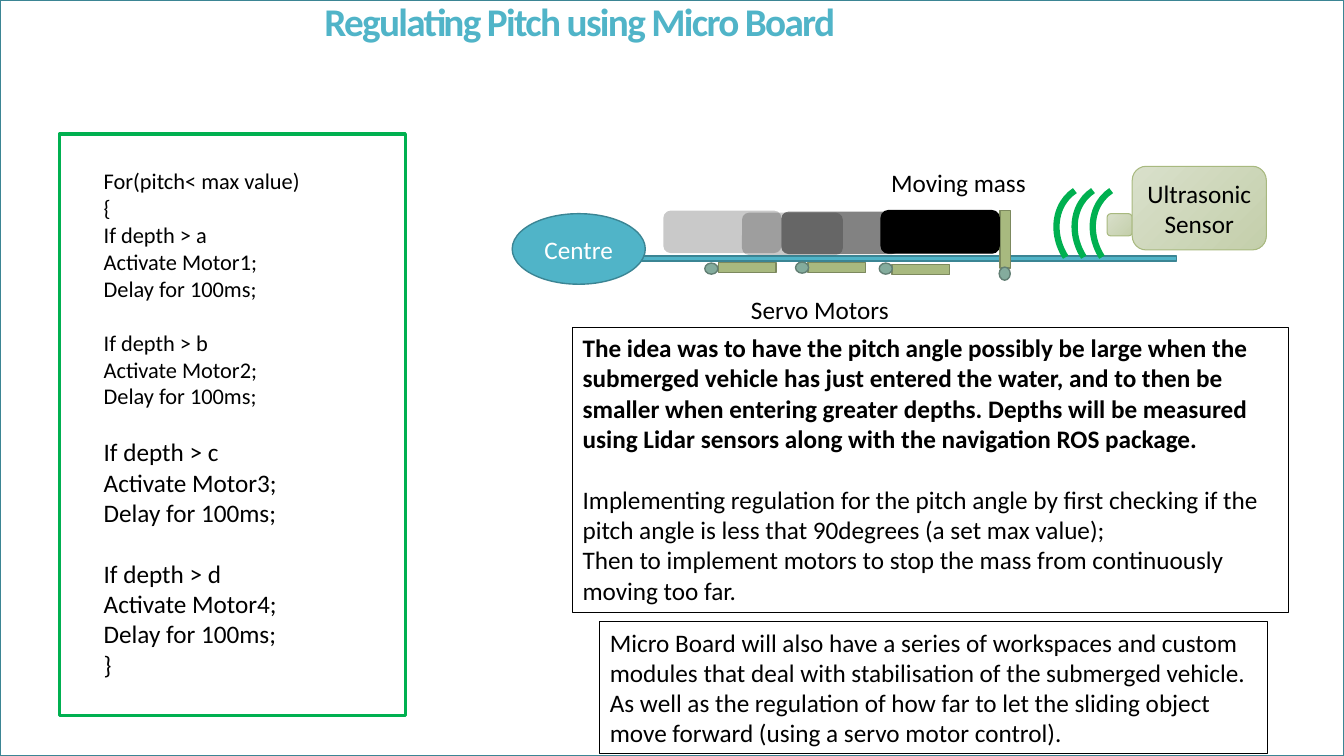
from dataclasses import dataclass

from lxml.etree import SubElement
from pptx import Presentation
from pptx.dml.color import RGBColor
from pptx.enum.shapes import MSO_SHAPE
from pptx.enum.text import MSO_ANCHOR, PP_ALIGN
from pptx.oxml.ns import qn
from pptx.shapes.autoshape import Shape
from pptx.util import Inches, Pt

TEAL, DARK_TEAL = "50B4C8", "3B8594"
OLIVE, DARK_OLIVE = "A8B97F", "7C895E"
SAGE, DARK_SAGE = "84AC9D", "627F74"
GREEN, BLACK, WHITE = "00B050", "000000", "FFFFFF"
SENSOR_GRADIENT = ("D9E0CB", "C4CFAB")


@dataclass(frozen=True)
class Part:
    left: float
    top: float
    width: float
    height: float
    kind: MSO_SHAPE = MSO_SHAPE.RECTANGLE
    fill: str | tuple[str, str] | None = None
    opacity: int = 100
    line: str | None = None
    line_width: float = 1
    rotation: float = 0


@dataclass(frozen=True)
class Line:
    text: str
    size: float = 18
    bold: bool = False
    gap: float = 0


def rgb(value: str) -> RGBColor:
    return RGBColor.from_string(value)


def draw_part(part: Part) -> Shape:
    box = (Inches(value) for value in (part.left, part.top, part.width, part.height))
    shape = slide.shapes.add_shape(part.kind, *box)
    shape.shadow.inherit = False
    shape.rotation = part.rotation
    if part.fill is None:
        shape.fill.background()
    elif isinstance(part.fill, tuple):
        shape.fill.gradient()
        shape.fill.gradient_angle = 315
        for stop, color in zip(shape.fill.gradient_stops, part.fill):
            stop.color.rgb = rgb(color)
    else:
        shape.fill.solid()
        shape.fill.fore_color.rgb = rgb(part.fill)
        if part.opacity < 100:
            color = shape.fill._xPr.find(qn("a:solidFill"))[0]
            SubElement(color, qn("a:alpha")).set("val", str(part.opacity * 1000))
    if part.line is None:
        shape.line.fill.background()
    else:
        shape.line.color.rgb = rgb(part.line)
        shape.line.width = Pt(part.line_width)
    return shape


def write(shape: Shape, lines: list[Line], color: str = BLACK, centred: bool = False) -> None:
    frame = shape.text_frame
    frame.word_wrap = True
    frame.vertical_anchor = MSO_ANCHOR.MIDDLE if centred else MSO_ANCHOR.TOP
    frame.text = "\n".join(line.text for line in lines)
    for paragraph, line in zip(frame.paragraphs, lines):
        paragraph.alignment = PP_ALIGN.CENTER if centred else PP_ALIGN.LEFT
        paragraph.space_before = Pt(line.gap)
        font = paragraph.runs[0].font
        font.name, font.size, font.bold = "Calibri", Pt(line.size), line.bold
        font.color.rgb = rgb(color)


def add_text(left: float, top: float, width: float, height: float, lines: list[Line],
             color: str = BLACK, centred: bool = False) -> Shape:
    text_box = slide.shapes.add_textbox(Inches(left), Inches(top), Inches(width), Inches(height))
    write(text_box, lines, color, centred)
    return text_box


def motor_code(number: int, depth: str, size: float, gap: float) -> list[Line]:
    return [
        Line(f"If depth > {depth}", size, gap=gap),
        Line(f"Activate Motor{number};", size),
        Line("Delay for 100ms;", size),
    ]


presentation = Presentation()
presentation.slide_width, presentation.slide_height = Inches(13.33), Inches(7.5)
slide = presentation.slides.add_slide(presentation.slide_layouts[6])

draw_part(Part(0.59, 1.33, 3.43, 5.77, fill=WHITE, line=GREEN, line_width=2.5))
workspace_note = draw_part(Part(5.95, 6.17, 6.62, 1.31, line=BLACK, line_width=0.75))
write(workspace_note, [Line(
    "Micro Board will also have a series of workspaces and custom modules that deal with "
    "stabilisation of the submerged vehicle. As well as the regulation of how far to let the "
    "sliding object move forward (using a servo motor control)."
)])

draw_part(Part(5.9, 2.54, 5.77, 0.05, fill=TEAL, line=DARK_TEAL))
for left, top, rotation in ((7.36, 2.37, 90), (8.25, 2.37, 90), (9.08, 2.39, 90), (9.92, 2.09, 0)):
    draw_part(Part(left, top, 0.1, 0.57, fill=OLIVE, line=DARK_OLIVE, rotation=rotation))

centre = draw_part(Part(5.08, 2.12, 1.32, 0.7, MSO_SHAPE.OVAL, TEAL, line=DARK_TEAL))
write(centre, [Line("Centre")], WHITE, centred=True)

draw_part(Part(8.74, 2.09, 1.17, 0.42, MSO_SHAPE.ROUNDED_RECTANGLE, BLACK, line=BLACK))
for left, top, width, opacity in ((6.58, 2.09, 1.17, 21), (7.36, 2.11, 1, 21), (7.75, 2.1, 1.17, 49)):
    draw_part(Part(left, top, width, 0.42, MSO_SHAPE.ROUNDED_RECTANGLE, BLACK, opacity))

for left, top, rotation in ((7, 2.6, 90), (7.9, 2.59, 90), (8.73, 2.6, 90), (9.91, 2.65, 0)):
    draw_part(Part(left, top, 0.11, 0.13, MSO_SHAPE.OVAL, SAGE, line=DARK_SAGE, rotation=rotation))

add_text(7.35, 2.87, 2.08, 0.4, [Line("Servo Motors")])
add_text(8.74, 1.61, 2.08, 0.4, [Line("Moving mass")])
add_text(0.93, 1.61, 2.91, 5.22, [
    Line("For(pitch< max value)", 16),
    Line("{", 16),
    *motor_code(1, "a", 16, 0),
    *motor_code(2, "b", 16, 19.5),
    *motor_code(3, "c", 18, 19.5),
    *motor_code(4, "d", 18, 22),
    Line("}"),
])

idea_note = draw_part(Part(5.68, 3.25, 7.1, 2.83, line=BLACK, line_width=0.75))
write(idea_note, [
    Line(
        "The idea was to have the pitch angle possibly be large when the submerged vehicle has "
        "just entered the water, and to then be smaller when entering greater depths. Depths will "
        "be measured using Lidar sensors along with the navigation ROS package.", bold=True,
    ),
    Line(
        "Implementing regulation for the pitch angle by first checking if the pitch angle is less "
        "that 90degrees (a set max value);", gap=22,
    ),
    Line("Then to implement motors to stop the mass from continuously moving too far."),
])

sensor_style = dict(kind=MSO_SHAPE.ROUNDED_RECTANGLE, fill=SENSOR_GRADIENT, line=OLIVE, line_width=0.75)
draw_part(Part(10.98, 2.12, 0.25, 0.22, **sensor_style))
sensor = draw_part(Part(11.23, 1.65, 1.33, 0.83, **sensor_style))
write(sensor, [Line("Ultrasonic"), Line("Sensor")], centred=True)

for wave in range(3):
    draw_part(Part(10.79 - 0.18 * wave, 1.88, 1.01, 0.87, MSO_SHAPE.ARC,
                   line=GREEN, line_width=4.5, rotation=237.1))

title = add_text(0, -0.48, 11.5, 1.45, [Line("Regulating Pitch using Micro Board", 28, True)],
                 TEAL, centred=True)
title_paragraph = title.text_frame.paragraphs[0]
title_paragraph.line_spacing = 0.85
title_paragraph.runs[0].font._element.set("spc", "-120")

draw_part(Part(0, 0, 13.33, 7.5, line=DARK_TEAL))

presentation.save("out.pptx")
